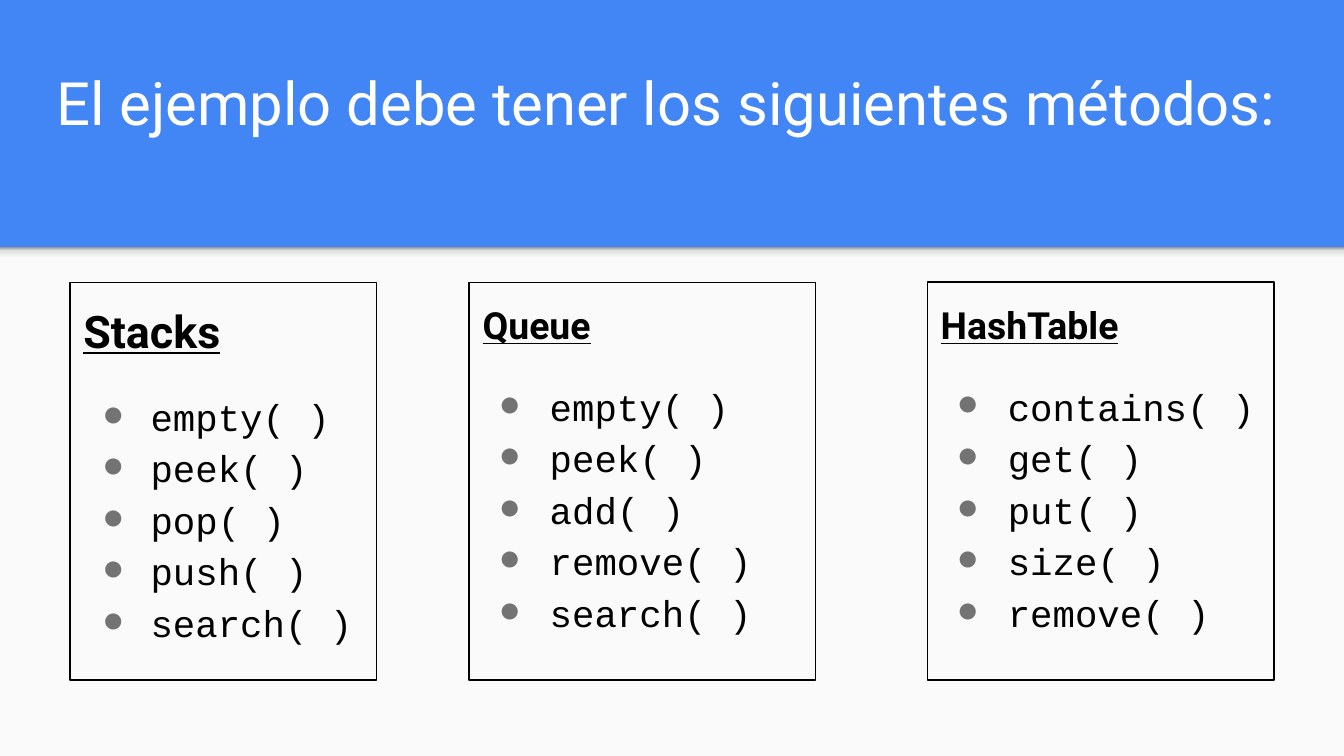
"""Build a slide listing the methods of three data structures."""
from copy import deepcopy

from lxml.etree import SubElement
from pptx import Presentation
from pptx.dml.color import RGBColor
from pptx.enum.shapes import MSO_SHAPE as Shape
from pptx.enum.text import MSO_ANCHOR as Anchor, MSO_AUTO_SIZE as AutoSize, PP_ALIGN as Align
from pptx.oxml.ns import qn
from pptx.util import Inches, Pt

BLUE = RGBColor(0x42, 0x85, 0xF4)
PAPER = RGBColor(0xFA, 0xFA, 0xFA)
WHITE = RGBColor(0xFF, 0xFF, 0xFF)
BLACK = RGBColor(0, 0, 0)
GRAY = RGBColor(0x73, 0x73, 0x73)
SHADE_STOPS = [
    (0, RGBColor(0xF9, 0xF9, 0xF9)),
    (0.36, RGBColor(0xF9, 0xF9, 0xF9)),
    (0.8, RGBColor(0xDE, 0xDE, 0xDE)),
    (1, RGBColor(0x99, 0x99, 0x99)),
]

WIDTH = 10
HEIGHT = WIDTH * 9 / 16
HEADER_BOTTOM = 1.84
CARD_TOP, CARD_HEIGHT = 2.1, 2.96

TITLE = "El ejemplo debe tener los siguientes métodos:"
CARDS = [
    {"name": "Stacks", "left": 0.52, "width": 2.28, "size": 24, "hang": 0.36,
     "methods": ["empty", "peek", "pop", "push", "search"]},
    {"name": "Queue", "left": 3.49, "width": 2.58, "size": 20, "hang": 0.38,
     "methods": ["empty", "peek", "add", "remove", "search"]},
    {"name": "HashTable", "left": 6.9, "width": 2.58, "size": 20, "hang": 0.38,
     "methods": ["contains", "get", "put", "size", "remove"]},
]
HEADING = {"name": "Roboto", "bold": True, "underline": True}
METHOD = {"name": "Courier New", "size": Pt(20), "bold": False, "underline": False}


def place(box, left, top, width, height):
    box.left, box.top, box.width, box.height = map(Inches, (left, top, width, height))


def prepare(box, anchor):
    frame = box.text_frame
    settings = {"word_wrap": True, "auto_size": AutoSize.NONE, "vertical_anchor": anchor}
    settings.update({f"margin_{side}": Inches(0.1) for side in ("left", "top", "right", "bottom")})
    for key, value in settings.items():
        setattr(frame, key, value)
    return frame


def write(para, text, color, **style):
    para.alignment = Align.LEFT
    span = para.add_run()
    span.text = text
    span.font.color.rgb = color
    for key, value in style.items():
        setattr(span.font, key, value)


def set_bullet(para, indent, hang):
    props = para._p.get_or_add_pPr()
    props.set("marL", str(Inches(indent)))
    props.set("indent", str(-Inches(hang)))
    if not indent:
        SubElement(props, qn("a:buNone"))
        return
    SubElement(SubElement(props, qn("a:buClr")), qn("a:srgbClr"), val=str(GRAY))
    SubElement(props, qn("a:buFont"), typeface=METHOD["name"])
    SubElement(props, qn("a:buChar"), char="●")


def add_band(page, order, top, height):
    band = page.shapes.add_shape(Shape.RECTANGLE, 0, Inches(top), Inches(WIDTH), Inches(height))
    band.shadow.inherit = False
    band.line.fill.background()
    page.shapes._spTree.insert(2 + order, band._element)
    return band


def shade(band):
    band.fill.gradient()
    band.fill.gradient_angle = 90
    stop_list = band._element.spPr.find(".//" + qn("a:gsLst"))
    while len(stop_list) < len(SHADE_STOPS):
        stop_list.append(deepcopy(stop_list[0]))
    for stop, (position, color) in zip(band.fill.gradient_stops, SHADE_STOPS):
        stop.position = position
        stop.color.rgb = color


def fill_card(box, card):
    place(box, card["left"], CARD_TOP, card["width"], CARD_HEIGHT)
    box.line.color.rgb = BLACK
    box.line.width = Pt(0.75)
    frame = prepare(box, Anchor.TOP)
    lines = [card["name"]] + [f"{method}( )" for method in card["methods"]]
    for row, text in enumerate(lines):
        para = frame.add_paragraph() if row else frame.paragraphs[0]
        style = METHOD if row else {**HEADING, "size": Pt(card["size"])}
        write(para, text, BLACK, **style)
        para.line_spacing = 1.15
        para.space_before = Pt(16 if row == 1 else 0)
        para.space_after = Pt(0)
        set_bullet(para, 0.5 if row else 0, card["hang"] if row else 0)


def main():
    deck = Presentation()
    deck.slide_width, deck.slide_height = Inches(WIDTH), Inches(HEIGHT)
    page = deck.slides.add_slide(deck.slide_layouts[3])
    page.background.fill.solid()
    page.background.fill.fore_color.rgb = BLUE

    panel = add_band(page, 0, HEADER_BOTTOM, HEIGHT - HEADER_BOTTOM)
    panel.fill.solid()
    panel.fill.fore_color.rgb = PAPER
    shade(add_band(page, 1, HEADER_BOTTOM, 0.12))

    title = page.shapes.title
    place(title, 0.32, 0.28, 9.36, 0.84)
    frame = prepare(title, Anchor.BOTTOM)
    write(frame.paragraphs[0], TITLE, WHITE, name="Roboto", size=Pt(32))

    boxes = [page.placeholders[1], page.placeholders[2], page.shapes.add_textbox(0, 0, 0, 0)]
    for box, card in zip(boxes, CARDS):
        fill_card(box, card)
    deck.save("out.pptx")


if __name__ == "__main__":
    main()
